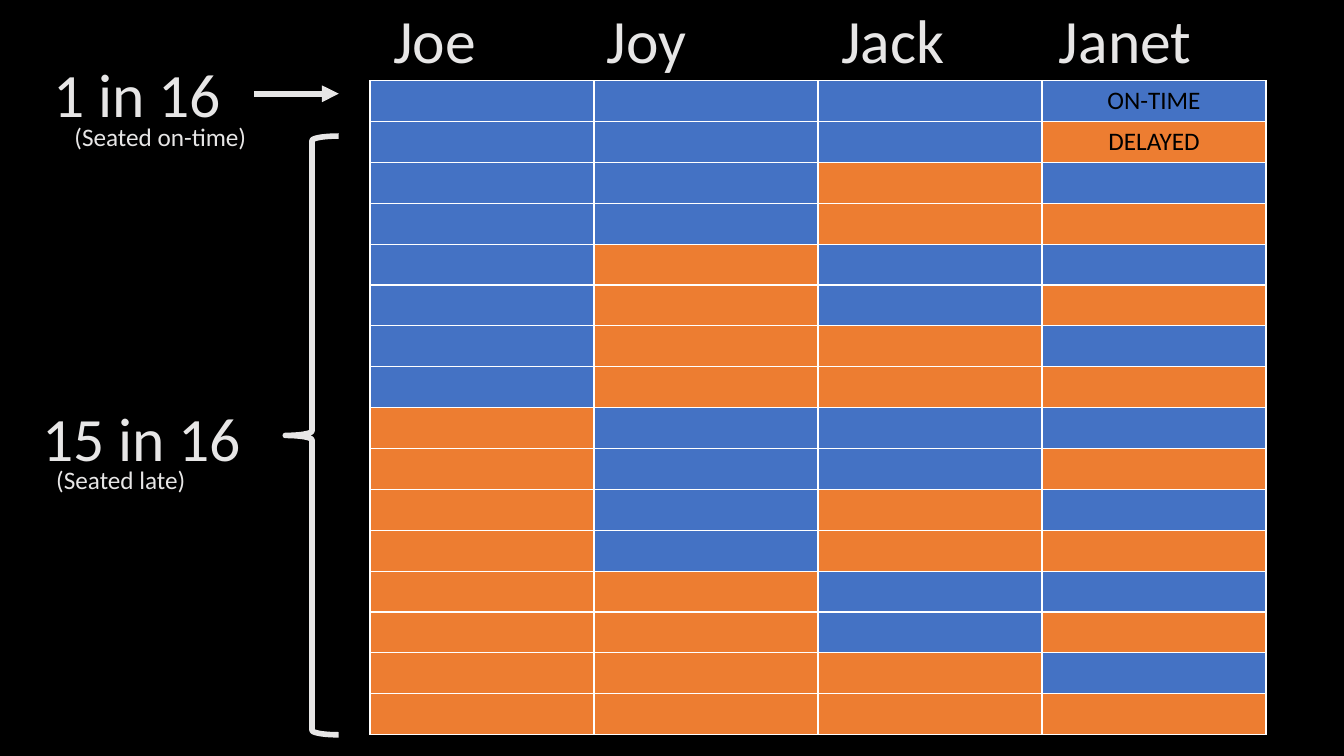
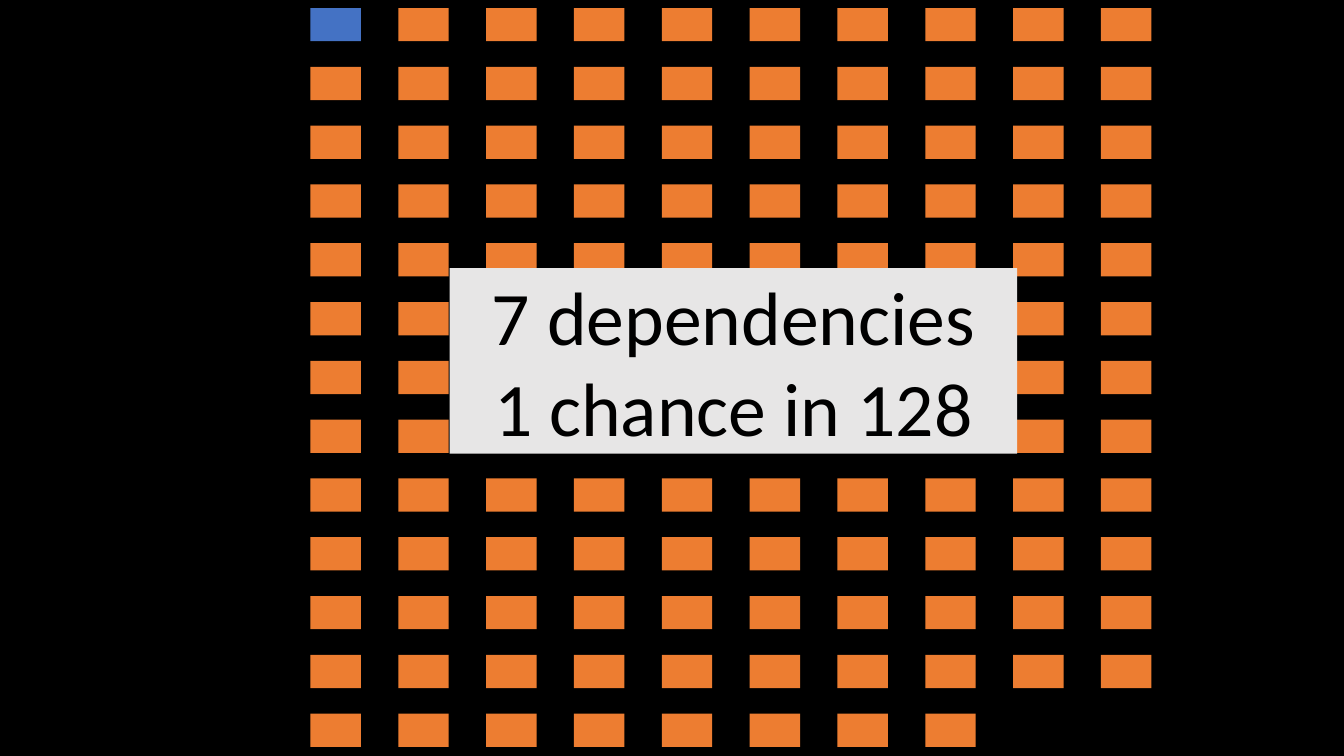
from dataclasses import dataclass
from itertools import product

from lxml.etree import SubElement
from pptx import Presentation
from pptx.dml.color import RGBColor
from pptx.enum.shapes import MSO_CONNECTOR as Connector, MSO_SHAPE as Shape
from pptx.enum.text import MSO_ANCHOR as Anchor, PP_ALIGN as Align
from pptx.oxml.ns import qn
from pptx.util import Inches, Pt

FONT = "Calibri"
BLACK, WHITE, LIGHT = "000000", "FFFFFF", "E7E6E6"
ON_TIME, DELAYED = "4472C4", "ED7D31"
NAMES = [("Joe", 0.13, 1.03), ("Joy", 0.03, 1.0), ("Jack", 0.13, 1.24), ("Janet", 0.07, 1.53)]


@dataclass
class Box:
    left: float
    top: float
    width: float
    height: float

    def inside(self, left, top, width, height):
        """Box measured in inches from this box's corner."""
        return Box(self.left + left, self.top + top, width, height)

    def inches(self):
        return [Inches(length) for length in (self.left, self.top, self.width, self.height)]


SLIDE = Box(0, 0, 13.33, 7.5)


def color(hex_string):
    return RGBColor.from_string(hex_string)


def paint(target, hex_string):
    target.fill.solid()
    target.fill.fore_color.rgb = color(hex_string)


def write(frame, lines, size, ink, align=Align.LEFT):
    for index, line in enumerate(lines):
        para = frame.add_paragraph() if index else frame.paragraphs[0]
        para.alignment = align
        span = para.add_run()
        span.text = line
        span.font.name = FONT
        span.font.size = Pt(size)
        span.font.color.rgb = color(ink)


def add_label(page, box, text, size):
    frame = page.shapes.add_textbox(*box.inches()).text_frame
    frame.word_wrap = False
    write(frame, [text], size, LIGHT)


def add_rectangle(page, box, fill):
    rectangle = page.shapes.add_shape(Shape.RECTANGLE, *box.inches())
    rectangle.shadow.inherit = False
    paint(rectangle, fill)
    rectangle.line.fill.background()
    return rectangle


def stroke(line):
    line.color.rgb = color(LIGHT)
    line.width = Pt(4)


def add_cell_borders(cell):
    properties = cell._tc.get_or_add_tcPr()
    for side in ("a:lnL", "a:lnR", "a:lnT", "a:lnB"):
        border = SubElement(properties, qn(side), w=str(Pt(1)))
        fill = SubElement(border, qn("a:solidFill"))
        SubElement(fill, qn("a:srgbClr"), val=WHITE)


def add_outcome_table(page, box):
    """Every on-time/delayed combination, one per row."""
    outcomes = list(product((ON_TIME, DELAYED), repeat=len(NAMES)))
    table = page.shapes.add_table(len(outcomes), len(NAMES), *box.inches()).table
    table.first_row = table.horz_banding = False
    for row, outcome in enumerate(outcomes):
        table.rows[row].height = Inches(box.height / len(outcomes))
        for column, fill in enumerate(outcome):
            cell = table.cell(row, column)
            add_cell_borders(cell)
            paint(cell, fill)
    for row, text in enumerate(("ON-TIME", "DELAYED")):
        write(table.cell(row, len(NAMES) - 1).text_frame, [text], 18, BLACK, Align.CENTER)


def add_names(page, box):
    pitch = box.width / len(NAMES)
    for column, (name, indent, width) in enumerate(NAMES):
        add_label(page, box.inside(column * pitch + indent, 0, width, box.height), name, 44)


def add_odds(page, box, odds, note, note_indent, note_width):
    add_label(page, Box(box.left, box.top, box.width, 0.84), odds, 44)
    add_label(page, box.inside(note_indent, 0.64, note_width, 0.4), note, 18)


def add_arrow(page, box):
    """Arrow along the top edge of the box."""
    left, top, width, _ = box.inches()
    arrow = page.shapes.add_connector(Connector.STRAIGHT, left, top, left + width, top)
    stroke(arrow.line)
    SubElement(arrow.line._get_or_add_ln(), qn("a:tailEnd"), type="triangle")
    SubElement(arrow._element.spPr, qn("a:effectLst"))


def add_brace(page, box):
    brace = page.shapes.add_shape(Shape.LEFT_BRACE, *box.inches())
    brace.shadow.inherit = False
    brace.fill.background()
    stroke(brace.line)


def build_outcomes(page, box):
    table = box.inside(3.67, 0.8, box.width * 2 / 3, 6.49)
    add_outcome_table(page, table)
    add_names(page, table.inside(0, -0.83, table.width, 0.84))
    add_odds(page, box.inside(0.43, 0.51, 1.88, 1.04), "1 in 16", "(Seated on-time)", 0.21, 1.93)
    add_odds(page, box.inside(0.32, 3.92, 2.2, 1.04), "15 in 16", "(Seated late)", 0.14, 1.5)
    add_arrow(page, table.inside(-1.15, 0.13, 0.84, 0))
    add_brace(page, table.inside(-0.84, 0.55, 0.53, 5.94))


def add_tiles(page, box, columns, rows, count):
    """Evenly spaced tiles, first one on time, leaving room for the message."""
    width, height = 0.5, 0.33
    across = (box.width - width) / (columns - 1)
    down = (box.height - height) / (rows - 1)
    for index in range(count):
        row, column = divmod(index, columns)
        if row in (5, 6) and 2 <= column <= 7:
            continue
        tile = box.inside(column * across, row * down, width, height)
        add_rectangle(page, tile, DELAYED if index else ON_TIME)


def build_chances(page, box):
    add_tiles(page, box.inside(3.08, 0.08, 8.34, 7.33), columns=10, rows=13, count=128)
    message = add_rectangle(page, box.inside(4.46, 2.66, 5.63, 1.84), LIGHT)
    frame = message.text_frame
    frame.word_wrap = True
    frame.vertical_anchor = Anchor.MIDDLE
    write(frame, ["7 dependencies", "1 chance in 128"], 54, BLACK, Align.CENTER)


def main():
    deck = Presentation()
    deck.slide_width, deck.slide_height = Inches(SLIDE.width), Inches(SLIDE.height)
    paint(deck.slide_master.background, BLACK)
    blank = deck.slide_layouts.get_by_name("Blank")
    for build in (build_outcomes, build_chances):
        build(deck.slides.add_slide(blank), SLIDE)
    deck.save("out.pptx")


if __name__ == "__main__":
    main()
